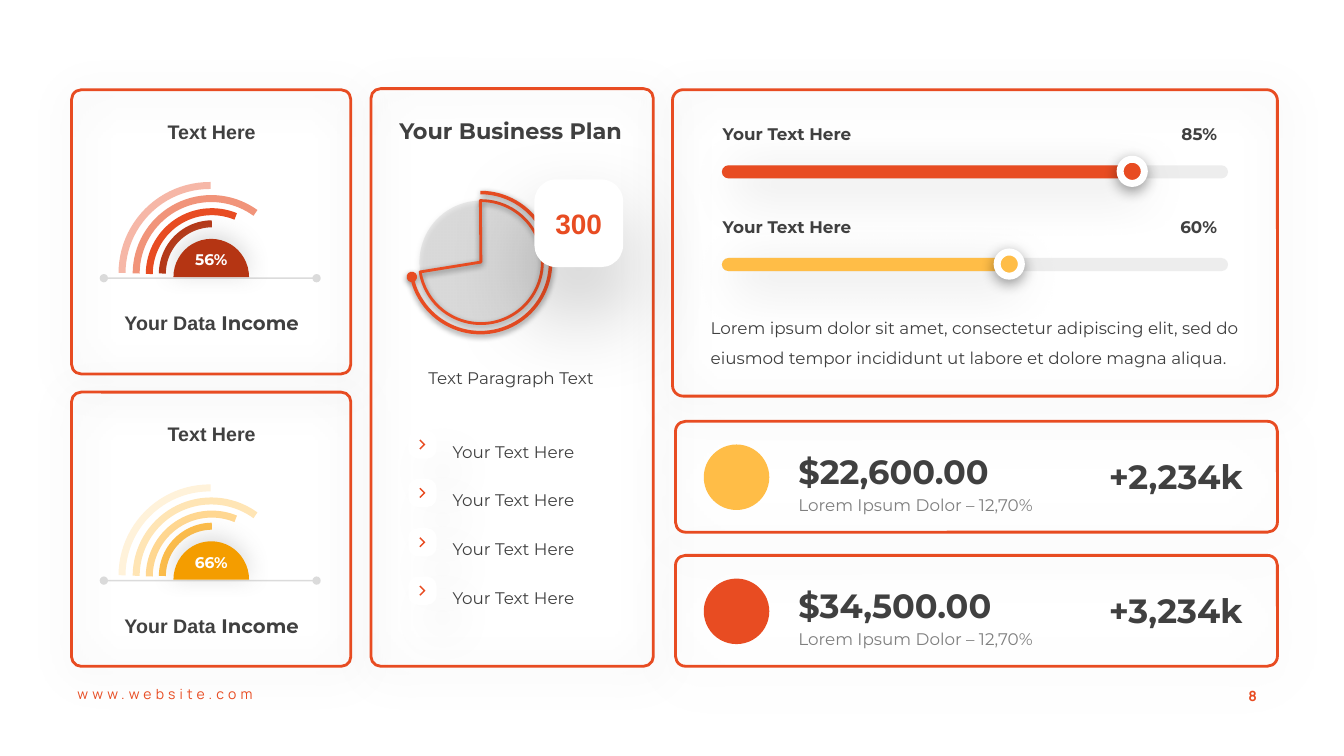
"""Build a dashboard slide of gauges, a plan card, sliders and totals."""
from dataclasses import dataclass
from typing import NamedTuple

from lxml import etree
from pptx import Presentation
from pptx import util as u
from pptx.dml.color import RGBColor
from pptx.enum import shapes, text
from pptx.oxml.ns import qn

PX = 9144
KIND = shapes.MSO_SHAPE
ALIGN = text.PP_ALIGN


@dataclass(frozen=True)
class Theme:
    """Colours, fonts, type sizes and shadows of the slide."""
    accent: str = "E84C22"
    amber: str = "FFBD47"
    ink: str = "404040"
    muted: str = "7F7F7F"
    grey: str = "A5A5A5"
    white: str = "FFFFFF"
    reds: tuple = ("B53513", "E84C22", "F1947A", "F6B7A7")
    ambers: tuple = ("FFBD47", "FFD791", "FFE5B5", "FFF2DA")
    amber_dome: str = "F49D00"
    body_font: str = "Montserrat"
    plain_font: str = "Arial"
    footer_font: str = "Manrope"
    footer: int = 10
    dome: int = 11
    body: int = 12
    label: int = 14
    heading: int = 16
    badge: int = 20
    total: int = 24
    card_shadow: tuple = ("000000", 20, 30, 4.5, 67)
    total_shadow: tuple = ("000000", 12, 36, 6, 90)
    bar_shadow: tuple = ("000000", 20, 36, 12, 45)
    thumb_shadow: tuple = ("000000", 40, 10, 3, 90)
    icon_shadow: tuple = ("000000", 6, 33, 24, 53)
    pie_shadow: tuple = ("000000", 50, 4.5, 1.5, 90)
    badge_shadow: tuple = ("000000", 25, 66, 30, 90)
    dome_shadow: tuple = ("A5A5A5", 41, 17, 3, 270)


THEME = Theme()


class Box(NamedTuple):
    """A rectangle in px."""
    left: int
    top: int
    width: int
    height: int

    def inner(self, left, top, width, height):
        """Return a box placed relative to this one."""
        return Box(self.left + left, self.top + top, width, height)

    def emu(self):
        """Return the four lengths in EMU."""
        return [value * PX for value in self]


def add_alpha(element, percent):
    """Make the colour within an XML element translucent."""
    for colour in element.iter(qn("a:srgbClr")):
        etree.SubElement(colour, qn("a:alpha"), val=str(percent * 1000))


def add_shadow(shape, shadow):
    """Give a shape an outer shadow."""
    colour, alpha, blur, distance, angle = shadow
    effects = shape.element.spPr.find(qn("a:effectLst"))
    outer = etree.SubElement(effects, qn("a:outerShdw"), blurRad=str(u.Pt(blur)),
                             dist=str(u.Pt(distance)), dir=str(angle * 60000), rotWithShape="0")
    etree.SubElement(outer, qn("a:srgbClr"), val=colour)
    add_alpha(outer, alpha)


def add_line_ends(line_element, *ends):
    """Put ovals on the named ends of a line."""
    for end in ends:
        etree.SubElement(line_element, qn(f"a:{end}"), type="oval")


def draw(slide, kind, box, fill=None, line=None, weight=2, shadow=None, adjust=(), alpha=None):
    """Add a preset shape with its fill, outline and shadow."""
    shape = slide.shapes.add_shape(kind, *box.emu())
    for index, value in enumerate(adjust):
        shape.adjustments[index] = value
    if fill:
        shape.fill.solid()
        shape.fill.fore_color.rgb = RGBColor.from_string(fill)
    else:
        shape.fill.background()
    if alpha:
        add_alpha(shape.element.spPr, alpha)
    if line:
        shape.line.color.rgb = RGBColor.from_string(line)
        shape.line.width = u.Pt(weight)
    else:
        shape.line.fill.background()
    shape.shadow.inherit = False
    if shadow:
        add_shadow(shape, shadow)
    return shape


def sweep(start, end):
    """Turn two angles in degrees into arc adjustments."""
    return start * 0.6, end * 0.6


def write(frame, runs, size, colour=THEME.ink, bold=False, align=ALIGN.LEFT,
          spacing=1.0, tracking=0, middle=False):
    """Fill a text frame with one paragraph of (text, font) runs."""
    frame.word_wrap = True
    frame.vertical_anchor = text.MSO_ANCHOR.MIDDLE if middle else text.MSO_ANCHOR.TOP
    paragraph = frame.paragraphs[0]
    paragraph.alignment = align
    paragraph.line_spacing = spacing
    for words, font in runs:
        run = paragraph.add_run()
        run.text = words
        run.font.name = font
        run.font.size = u.Pt(size)
        run.font.bold = bold
        run.font.color.rgb = RGBColor.from_string(colour)
        if tracking:
            run.font._element.set("spc", str(tracking * 100))


def label(slide, box, words, size=THEME.body, font=THEME.body_font, **style):
    """Add a text box holding one run, or several given as pairs."""
    runs = [(words, font)] if isinstance(words, str) else words
    write(slide.shapes.add_textbox(*box.emu()).text_frame, runs, size, **style)


def gauge_card(slide, box, percent, rings, dome):
    """Draw a card with concentric arcs over a dome."""
    draw(slide, KIND.ROUNDED_RECTANGLE, box, None, THEME.accent,
         shadow=THEME.card_shadow, adjust=[0.035])
    for index, (colour, end) in enumerate(zip(rings, (89.5, 112.5, 126, 90.5))):
        size = 99 + 25 * index
        ring = box.inner(90 - 40 * index // 3, 133 - 38 * index // 3, size, size)
        draw(slide, KIND.ARC, ring, None, colour, 5, adjust=sweep(0.2, end)).rotation = 180
    base = box.inner(32, 187, 211, 0)
    line = slide.shapes.add_connector(
        shapes.MSO_CONNECTOR.STRAIGHT, base.left * PX, base.top * PX,
        (base.left + base.width) * PX, base.top * PX)
    line.line.color.rgb = RGBColor.from_string(THEME.grey)
    line.line.width = u.Pt(1)
    add_alpha(line.element.spPr, 40)
    add_line_ends(line.line._get_or_add_ln(), "headEnd", "tailEnd")
    etree.SubElement(line.element.spPr, qn("a:effectLst"))
    draw(slide, KIND.PIE, box.inner(101, 148, 75, 76), dome,
         shadow=THEME.dome_shadow, adjust=sweep(180, 360))
    label(slide, box.inner(104, 151, 69, 35), percent, THEME.dome, colour=THEME.white,
          bold=True, align=ALIGN.CENTER, middle=True)
    captions = ((18, [("Text Here", THEME.plain_font)]),
                (208, [("Your Data ", THEME.plain_font), ("Income", THEME.body_font)]))
    for top, runs in captions:
        label(slide, box.inner(19, top, 240, 41), runs, THEME.label, bold=True,
              align=ALIGN.CENTER, spacing=1.3)


def bullet(slide, box, words):
    """Draw a chevron tile with its text."""
    tile = box.inner(0, 0, 28, 28)
    draw(slide, KIND.ROUNDED_RECTANGLE, tile, THEME.white,
         shadow=THEME.icon_shadow, adjust=[0.333])
    builder = slide.shapes.build_freeform(0, 1, scale=PX)
    builder.add_line_segments([(1, 0), (6, 5), (1, 10), (0, 9), (4, 5)], close=True)
    chevron = builder.convert_to_shape((tile.left + 11) * PX, (tile.top + 9) * PX)
    chevron.fill.solid()
    chevron.fill.fore_color.rgb = RGBColor.from_string(THEME.accent)
    chevron.line.fill.background()
    chevron.shadow.inherit = False
    label(slide, box.inner(34, 0, 206, 36), words, spacing=1.3)


def plan_card(slide, box):
    """Draw the business plan card with its pie and bullets."""
    draw(slide, KIND.ROUNDED_RECTANGLE, box, None, THEME.accent,
         shadow=THEME.card_shadow, adjust=[0.034])
    label(slide, box.inner(12, 18, 253, 42), "Your Business Plan", THEME.heading,
          bold=True, align=ALIGN.CENTER, spacing=1.2)
    label(slide, box.inner(14, 272, 250, 30), "Text Paragraph Text", align=ALIGN.CENTER)
    disc = box.inner(48, 111, 122, 122)
    draw(slide, KIND.FLOWCHART_CONNECTOR, disc, THEME.grey, shadow=THEME.pie_shadow, alpha=20)
    draw(slide, KIND.PIE, disc, None, THEME.accent, shadow=THEME.pie_shadow,
         adjust=sweep(269.5, 170.8))
    rim = draw(slide, KIND.ARC, disc.inner(-9, -8, 139, 139), None, THEME.accent, 2.5,
               THEME.pie_shadow, sweep(270, 168.2))
    add_line_ends(rim.line._get_or_add_ln(), "tailEnd")
    badge = draw(slide, KIND.ROUNDED_RECTANGLE, box.inner(162, 90, 88, 87), THEME.white,
                 shadow=THEME.badge_shadow, adjust=[0.25])
    write(badge.text_frame, [("300", THEME.plain_font)], THEME.badge, THEME.accent,
          bold=True, align=ALIGN.CENTER, middle=True)
    for index in range(4):
        bullet(slide, box.inner(37, 339 + 97 * index // 2, 240, 36), "Your Text Here")


def slider(slide, box, percent, filled, colour):
    """Draw a labelled slider filled up to its thumb."""
    label(slide, box.inner(-9, 0, 310, 36), "Your Text Here", bold=True, spacing=1.3)
    label(slide, box.inner(395, 0, 106, 36), percent, bold=True, align=ALIGN.RIGHT, spacing=1.3)
    draw(slide, KIND.ROUNDED_RECTANGLE, box.inner(0, 52, box.width, 13), THEME.grey,
         adjust=[0.5], alpha=20)
    draw(slide, KIND.ROUNDED_RECTANGLE, box.inner(0, 52, filled, 13), colour,
         shadow=THEME.bar_shadow, adjust=[0.5])
    draw(slide, KIND.OVAL, box.inner(filled - 12, 46, 24, 24), colour, THEME.white, 5,
         THEME.thumb_shadow)


def slider_card(slide, box):
    """Draw the card with two sliders and a paragraph."""
    draw(slide, KIND.ROUNDED_RECTANGLE, box, None, THEME.accent,
         shadow=THEME.card_shadow, adjust=[0.035])
    sliders = (("85%", 407, THEME.accent), ("60%", 285, THEME.amber))
    for index, (percent, filled, colour) in enumerate(sliders):
        slider(slide, box.inner(49, 23 + 92 * index, 502, 70), percent, filled, colour)
    label(slide, box.inner(28, 211, 551, 71),
          "Lorem ipsum dolor sit amet, consectetur adipiscing elit, sed do "
          "eiusmod tempor incididunt ut labore et dolore magna aliqua.", spacing=1.5)


def total_card(slide, box, colour, amount, change):
    """Draw a card with a dot, an amount and its change."""
    draw(slide, KIND.ROUNDED_RECTANGLE, box, None, THEME.accent,
         shadow=THEME.total_shadow, adjust=[0.09])
    draw(slide, KIND.OVAL, box.inner(28, 23, 65, 65), colour)
    label(slide, box.inner(112, 4, 226, 71), amount, THEME.total, bold=True, spacing=1.5)
    label(slide, box.inner(112, 58, 278, 40), "Lorem Ipsum Dolor – 12,70%",
          colour=THEME.muted, spacing=1.5)
    label(slide, box.inner(420, 34, 155, 46), change, THEME.total, bold=True, spacing=0.9)


def footer(slide, box):
    """Write the web address and the page number."""
    style = {"size": THEME.footer, "font": THEME.footer_font, "colour": THEME.accent}
    label(slide, box.inner(0, 0, 285, 27), "www.website.com", tracking=3, **style)
    label(slide, box.inner(1151, 2, 49, 27), "8", bold=True, align=ALIGN.CENTER,
          tracking=2, middle=True, **style)


def main():
    """Build the slide and save it."""
    presentation = Presentation()
    presentation.slide_width, presentation.slide_height = 1333 * PX, 750 * PX
    slide = presentation.slides.add_slide(presentation.slide_layouts[6])
    gauge_card(slide, Box(71, 89, 277, 282), "56%", THEME.reds, THEME.reds[0])
    gauge_card(slide, Box(71, 389, 277, 272), "66%", THEME.ambers, THEME.amber_dome)
    plan_card(slide, Box(368, 88, 280, 573))
    slider_card(slide, Box(667, 89, 600, 304))
    total_card(slide, Box(670, 418, 597, 110), THEME.amber, "$22,600.00", "+2,234k")
    total_card(slide, Box(670, 551, 597, 110), THEME.accent, "$34,500.00", "+3,234k")
    footer(slide, Box(67, 675, 1200, 29))
    presentation.save("out.pptx")


if __name__ == "__main__":
    main()
